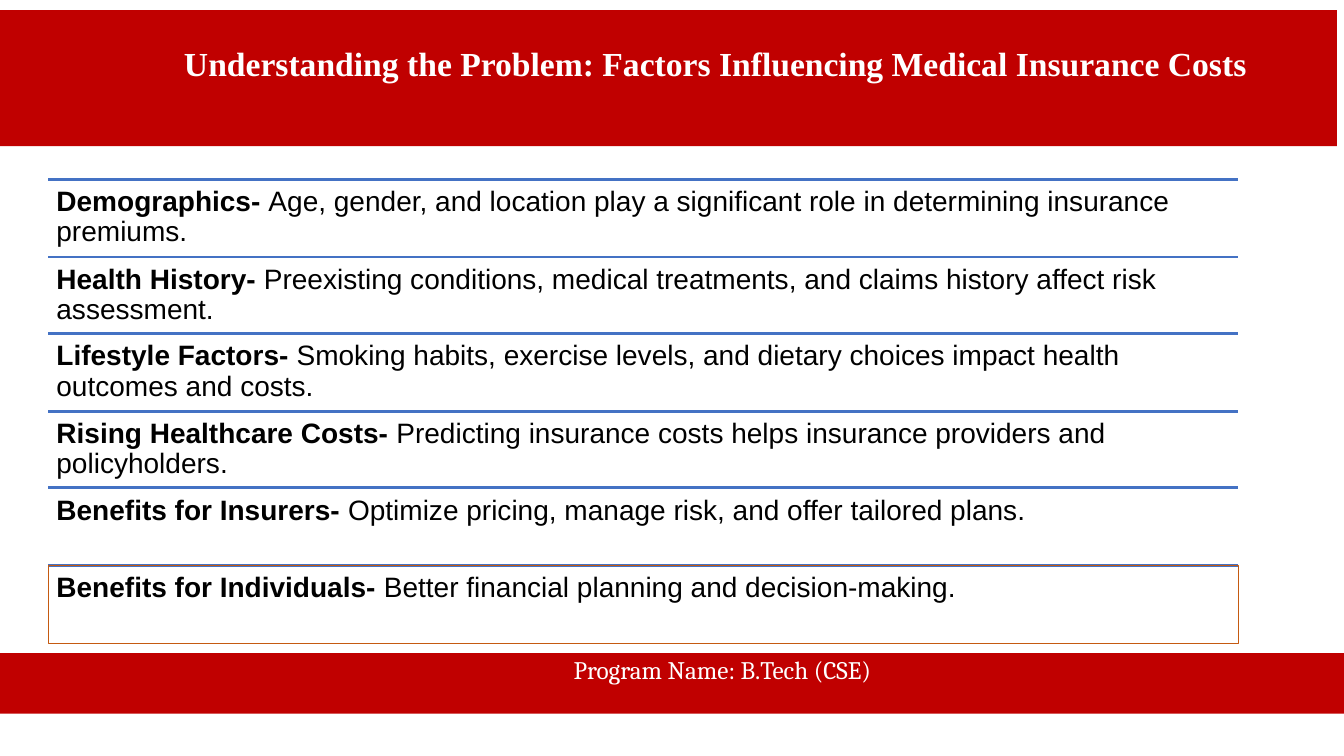
from dataclasses import dataclass

from lxml import etree
from pptx import Presentation
from pptx import util as u
from pptx.dml.color import RGBColor
from pptx.enum import shapes, text
from pptx.oxml import ns

COLORS = {
    "bar": "C00000",
    "rule": "4472C4",
    "frame": "C55A11",
    "light": "FFFFFF",
    "dark": "000000",
}
PX = 9144  # one px is a hundredth of an inch
LEFT, TOP, WIDTH, HEIGHT = 48, 178, 1180, 77
PITCH = 76.6


@dataclass
class Factor:
    name: str
    detail: str
    framed: bool = False


FACTORS = [
    Factor("Demographics- ", "Age, gender, and location play a significant role "
           "in determining insurance premiums."),
    Factor("Health History- ", "Preexisting conditions, medical treatments, and "
           "claims history affect risk assessment."),
    Factor("Lifestyle Factors- ", "Smoking habits, exercise levels, and dietary "
           "choices impact health outcomes and costs."),
    Factor("Rising Healthcare Costs- ", "Predicting insurance costs helps "
           "insurance providers and policyholders."),
    Factor("Benefits for Insurers- ", "Optimize pricing, manage risk, and offer "
           "tailored plans."),
    Factor("Benefits for Individuals- ", "Better financial planning and "
           "decision-making.", framed=True),
]


def px(*lengths: int) -> list[u.Emu]:
    return [u.Emu(n * PX) for n in lengths]


def rgb(name: str) -> RGBColor:
    return RGBColor.from_string(COLORS[name])


def add_run(p, words: str, font: str, size: int, color: str,
            bold: bool = False) -> None:
    r = p.add_run()
    r.text = words
    r.font.name, r.font.size, r.font.bold = font, u.Pt(size), bold
    r.font.color.rgb = rgb(color)


def style_bar(sp):
    """Make a red bar and return its centred paragraph."""
    sp.fill.solid()
    sp.fill.fore_color.rgb = rgb("bar")
    sp.line.fill.background()
    tf = sp.text_frame
    tf.word_wrap = True
    tf.auto_size = text.MSO_AUTO_SIZE.NONE
    tf.vertical_anchor = text.MSO_ANCHOR.TOP
    p = tf.paragraphs[0]
    p.alignment = text.PP_ALIGN.CENTER
    p._p.get_or_add_pPr().set("defTabSz", str(100 * PX))
    return p


def add_factor(s, factor: Factor, top: int) -> None:
    # Rule above the row
    rule = s.shapes.add_connector(shapes.MSO_CONNECTOR.STRAIGHT,
                                  *px(LEFT, top, LEFT + WIDTH, top))
    rule.line.color.rgb = rgb("rule")
    rule.line.width = u.Pt(2)
    etree.SubElement(rule._element.spPr, ns.qn("a:effectLst"))

    box = px(LEFT, top, WIDTH, HEIGHT)
    if factor.framed:
        frame = s.shapes.add_shape(shapes.MSO_SHAPE.RECTANGLE, *box)
        frame.shadow.inherit = False
        frame.fill.background()
        frame.line.color.rgb = rgb("frame")
        frame.line.width = u.Pt(0.75)

    # Bold name followed by its detail
    tf = s.shapes.add_textbox(*box).text_frame
    tf.word_wrap = True
    tf.margin_left, tf.margin_top, tf.margin_right, tf.margin_bottom = px(8, 8, 8, 8)
    p = tf.paragraphs[0]
    p.line_spacing = 0.9
    add_run(p, factor.name, "Arial", 20, "dark", bold=True)
    add_run(p, factor.detail, "Arial", 20, "dark")


def main() -> None:
    prs = Presentation()
    prs.slide_width, prs.slide_height = px(1333, 750)
    s = prs.slides.add_slide(prs.slide_layouts[5])

    # Title bar
    title = s.shapes.title
    title.left, title.top, title.width, title.height = px(-7, 10, 1333, 135)
    p = style_bar(title)
    add_run(p, "\t", "Calibri", 44, "light")
    add_run(p, "Understanding the Problem: Factors Influencing Medical Insurance Costs",
            "Times New Roman", 24, "light", bold=True)

    # Footer bar
    footer = s.shapes.add_shape(shapes.MSO_SHAPE.RECTANGLE, *px(0, 648, 1333, 60))
    footer.shadow.inherit = False
    p = style_bar(footer)
    p.line_spacing = 0.9
    add_run(p, " \tProgram Name: B.Tech (CSE)", "Cambria", 18, "light")

    # Factor rows
    for i, factor in enumerate(FACTORS):
        add_factor(s, factor, round(TOP + i * PITCH))

    prs.save("out.pptx")


if __name__ == "__main__":
    main()
